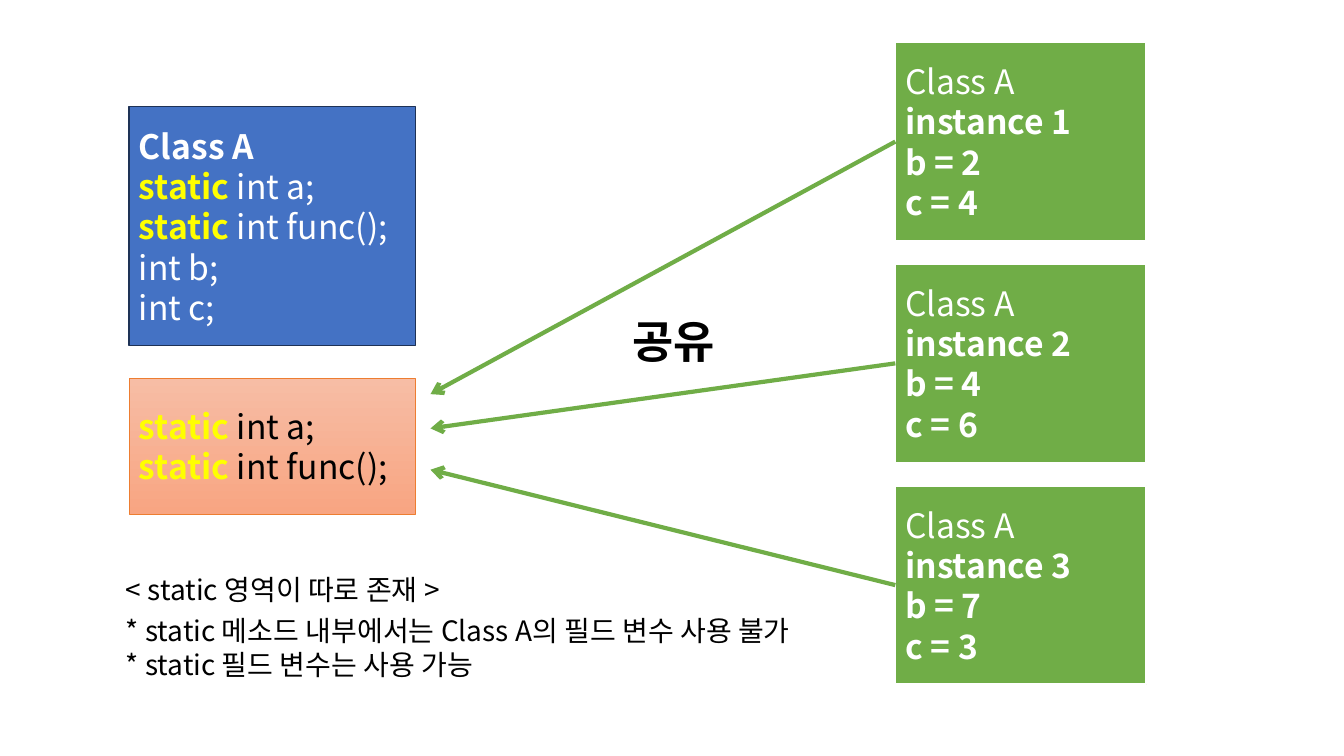
from dataclasses import dataclass

from lxml import etree
from pptx import Presentation
from pptx import util as u
from pptx.dml.color import RGBColor
from pptx.enum import shapes, text
from pptx.oxml import ns


@dataclass(frozen=True)
class Theme:
    font: str = "Noto Sans CJK KR"
    blue: str = "4472C4"
    navy: str = "1E3256"
    green: str = "70AD47"
    orange: str = "ED7D31"
    peach: tuple = ("F7BDA5", "F8A582")
    white: str = "FFFFFF"
    black: str = "000000"
    yellow: str = "FFFF00"
    title: int = 32
    code: int = 24
    note: int = 20


def rgb(value):
    return RGBColor.from_string(value)


class Diagram:
    def __init__(self, slide, theme):
        self.slide = slide
        self.theme = theme

    def fill_text(self, tf, lines, size):
        for i, runs in enumerate(lines):
            p = tf.paragraphs[0] if i == 0 else tf.add_paragraph()
            p.alignment = text.PP_ALIGN.LEFT
            for content, color, bold in runs:
                r = p.add_run()
                r.text = content
                r.font.size = u.Pt(size)
                r.font.name = self.theme.font
                r.font.bold = bold
                r.font.color.rgb = rgb(color)
                ea = etree.SubElement(r.font._element, ns.qn("a:ea"))
                ea.set("typeface", self.theme.font)

    def box(self, at, fill, line, width, lines):
        sp = self.slide.shapes.add_shape(
            shapes.MSO_SHAPE.RECTANGLE, *map(u.Inches, at))
        sp.shadow.inherit = False
        if isinstance(fill, tuple):
            sp.fill.gradient()
            sp.fill.gradient_angle = 270
            for stop, color in zip(sp.fill.gradient_stops, fill):
                stop.color.rgb = rgb(color)
        else:
            sp.fill.solid()
            sp.fill.fore_color.rgb = rgb(fill)
        sp.line.color.rgb = rgb(line)
        sp.line.width = u.Pt(width)
        sp.text_frame.vertical_anchor = text.MSO_ANCHOR.MIDDLE
        self.fill_text(sp.text_frame, lines, self.theme.code)

    def label(self, at, size, lines, bold=False):
        tf = self.slide.shapes.add_textbox(*map(u.Inches, at)).text_frame
        tf.word_wrap = True
        tf.auto_size = text.MSO_AUTO_SIZE.SHAPE_TO_FIT_TEXT
        self.fill_text(tf, [[(line, self.theme.black, bold)] for line in lines], size)

    def arrow(self, start, end):
        line = self.slide.shapes.add_connector(
            shapes.MSO_CONNECTOR.STRAIGHT, *map(u.Inches, start + end))
        line.line.color.rgb = rgb(self.theme.green)
        line.line.width = u.Pt(3)
        tail = etree.SubElement(line.line._get_or_add_ln(), ns.qn("a:tailEnd"))
        tail.set("type", "arrow")
        etree.SubElement(line._element.spPr, ns.qn("a:effectLst"))


def main():
    prs = Presentation()
    prs.slide_width, prs.slide_height = u.Inches(13.33), u.Inches(7.5)
    t = Theme()
    diagram = Diagram(prs.slides.add_slide(prs.slide_layouts[6]), t)

    def static_members(color):
        return [[("static", t.yellow, True), (member, color, False)]
                for member in (" int a;", " int func();")]

    fields = [[(field, t.white, False)] for field in ("int b;", "int c;")]
    diagram.box((1.28, 1.06, 2.84, 2.37), t.blue, t.navy, 1,
                [[("Class A", t.white, True)]] + static_members(t.white) + fields)
    diagram.box((1.28, 3.75, 2.84, 1.35), t.peach, t.orange, 0.5,
                static_members(t.black))

    left, top, width, height, pitch = 8.88, 0.42, 2.49, 1.97, 2.2
    instances = [(2, 4, 3.91), (4, 6, 4.25), (7, 3, 4.66)]
    for i, (b, c, target) in enumerate(instances):
        y = top + i * pitch
        values = (f"instance {i + 1}", f"b = {b}", f"c = {c}")
        diagram.box((left, y, width, height), t.green, t.white, 1.5,
                    [[("Class A", t.white, False)]]
                    + [[(value, t.white, True)] for value in values])
        diagram.arrow((left, y + height / 2), (4.27, target))

    diagram.label((6.17, 3.06, 1.81, 0.64), t.title, ["공유"], bold=True)
    diagram.label((1.15, 6.04, 7.91, 0.77), t.note,
                  ["* static 메소드 내부에서는 Class A의 필드 변수 사용 불가",
                   "* static 필드 변수는 사용 가능"])
    diagram.label((1.15, 5.63, 3.78, 0.44), t.note,
                  ["< static 영역이 따로 존재 >"])
    prs.save("out.pptx")


if __name__ == "__main__":
    main()
